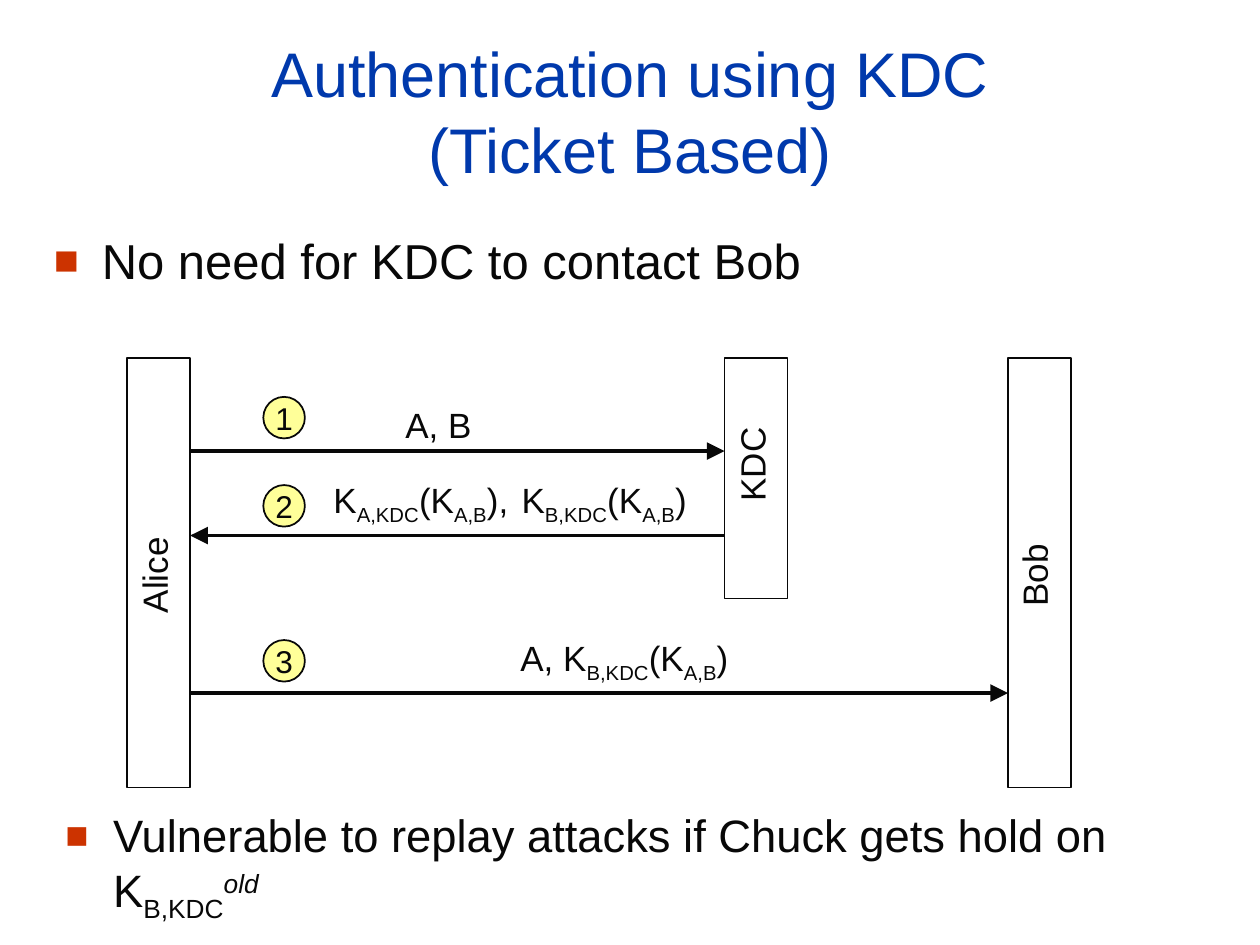
from dataclasses import dataclass

import pptx
import pptx.dml.color
import pptx.enum.shapes
import pptx.enum.text
import pptx.oxml
import pptx.oxml.ns
import pptx.util

PX = 9144  # EMU per px, 100 px to the inch
INK, BLUE, RED, YELLOW = "080808", "0039AC", "CC3300", "FFFF99"
SUB, SUPER = -25, 30
CENTER = pptx.enum.text.PP_ALIGN.CENTER
MIDDLE = pptx.enum.text.MSO_ANCHOR.MIDDLE
SHAPE = pptx.enum.shapes.MSO_SHAPE

Runs = list[tuple[str, int]]  # text and baseline shift in percent


@dataclass
class Box:
    left: int
    top: int
    width: int
    height: int

    def emu(self) -> list[int]:
        return [v * PX for v in (self.left, self.top, self.width, self.height)]


@dataclass
class Party:
    name: str
    bar: Box
    label: Box


@dataclass
class Arrow:
    start: int
    end: int
    y: int


@dataclass
class Message:
    box: Box
    runs: Runs


def color(value: str) -> pptx.dml.color.RGBColor:
    return pptx.dml.color.RGBColor.from_string(value)


def style(font, size: float, rgb: str = INK) -> None:
    font.name = "Arial"
    font.size = pptx.util.Pt(size)
    font.color.rgb = color(rgb)


def add_runs(p, runs: Runs, size: float) -> None:
    for text, shift in runs:
        r = p.add_run()
        r.text = text
        style(r.font, size)
        if shift:
            r._r.get_or_add_rPr().set("baseline", f"{shift * 1000}")
        if shift == SUPER:
            r.font.italic = True


def add_label(slide, box: Box, runs: Runs, rotation: int = 0) -> None:
    s = slide.shapes.add_textbox(*box.emu())
    s.rotation = rotation
    tf = s.text_frame
    tf.word_wrap = False
    tf.margin_left = tf.margin_right = 0
    p = tf.paragraphs[0]
    p.alignment = CENTER
    add_runs(p, runs, 20)


def add_bullet(slide, box: Box, runs: Runs, size: float) -> None:
    s = slide.shapes.add_textbox(*box.emu())
    tf = s.text_frame
    tf.word_wrap = True
    tf.margin_top = 8 * PX
    p = tf.paragraphs[0]
    pPr = p._p.get_or_add_pPr()
    pPr.set("marL", str(38 * PX))
    pPr.set("indent", str(-38 * PX))
    ns = pptx.oxml.ns.nsdecls("a")
    for xml in (
        f'<a:buClr {ns}><a:srgbClr val="{RED}"/></a:buClr>',
        f'<a:buSzPct {ns} val="85000"/>',
        f'<a:buFont {ns} typeface="Arial"/>',
        f'<a:buChar {ns} char="■"/>',
    ):
        pPr.append(pptx.oxml.parse_xml(xml))
    add_runs(p, runs, size)


def add_outlined(slide, kind, box: Box):
    s = slide.shapes.add_shape(kind, *box.emu())
    s.shadow.inherit = False
    s.fill.background()
    s.line.color.rgb = color(INK)
    s.line.width = pptx.util.Pt(1)
    return s


def add_party(slide, party: Party) -> None:
    add_outlined(slide, SHAPE.RECTANGLE, party.bar)
    add_label(slide, party.label, [(party.name, 0)], rotation=270)


def add_step(slide, number: int, top: int) -> None:
    s = add_outlined(slide, SHAPE.OVAL, Box(209, top, 33, 33))
    s.fill.solid()
    s.fill.fore_color.rgb = color(YELLOW)
    tf = s.text_frame
    tf.word_wrap = False
    tf.vertical_anchor = MIDDLE
    p = tf.paragraphs[0]
    p.alignment = CENTER
    add_runs(p, [(str(number), 0)], 18)


def add_arrow(slide, arrow: Arrow) -> None:
    s = slide.shapes.add_connector(
        pptx.enum.shapes.MSO_CONNECTOR.STRAIGHT,
        arrow.start * PX, arrow.y * PX, arrow.end * PX, arrow.y * PX)
    s.line.color.rgb = color(INK)
    s.line.width = pptx.util.Pt(2)
    ns = pptx.oxml.ns.nsdecls("a")
    s.line._get_or_add_ln().append(pptx.oxml.parse_xml(
        f'<a:tailEnd {ns} type="triangle" w="lg" len="lg"/>'))
    s._element.spPr.append(pptx.oxml.parse_xml(f"<a:effectLst {ns}/>"))


def add_title(slide, box: Box, text: str) -> None:
    s = slide.shapes.title
    s.left, s.top, s.width, s.height = box.emu()
    tf = s.text_frame
    tf.text = text
    tf.auto_size = pptx.enum.text.MSO_AUTO_SIZE.NONE
    tf.vertical_anchor = MIDDLE
    p = tf.paragraphs[0]
    p.alignment = CENTER
    for r in p.runs:
        style(r.font, 36, BLUE)


ALICE_EDGE, KDC_EDGE, BOB_EDGE = 151, 575, 800
SESSION_KEY: Runs = [("(K", 0), ("A,B", SUB)]
TICKET: Runs = [("B,KDC", SUB), *SESSION_KEY, (")", 0)]

PARTIES = [
    Party("Alice", Box(101, 284, 50, 341), Box(82, 435, 80, 43)),
    Party("KDC", Box(KDC_EDGE, 284, 50, 191), Box(557, 347, 79, 43)),
    Party("Bob", Box(BOB_EDGE, 284, 50, 341), Box(786, 435, 69, 43)),
]
ARROWS = [
    Arrow(ALICE_EDGE, KDC_EDGE, 358),
    Arrow(KDC_EDGE, ALICE_EDGE, 425),
    Arrow(ALICE_EDGE, BOB_EDGE, 550),
]
STEP_TOPS = [315, 385, 508]
MESSAGES = [
    Message(Box(312, 315, 72, 43), [("A, B", 0)]),
    Message(Box(255, 375, 158, 48),
            [("K", 0), ("A,KDC", SUB), *SESSION_KEY, ("),", 0)]),
    Message(Box(404, 375, 151, 48), [("K", 0), *TICKET]),
    Message(Box(403, 500, 185, 48), [("A, K", 0), *TICKET]),
]


def main() -> None:
    prs = pptx.Presentation()
    prs.slide_width, prs.slide_height = 1000 * PX, 750 * PX
    slide = prs.slides.add_slide(prs.slide_layouts[5])

    # Title and opening point
    add_title(slide, Box(33, 25, 934, 125),
              "Authentication using KDC\v(Ticket Based)")
    add_bullet(slide, Box(33, 175, 934, 100),
               [("No need for KDC to contact Bob", 0)], 28)

    # Protocol diagram
    for party in PARTIES:
        add_party(slide, party)
    for arrow in ARROWS:
        add_arrow(slide, arrow)
    for number, top in enumerate(STEP_TOPS, 1):
        add_step(slide, number, top)
    for message in MESSAGES:
        add_label(slide, message.box, message.runs)

    # Closing point
    add_bullet(slide, Box(42, 633, 932, 109),
               [("Vulnerable to replay attacks if Chuck gets hold on K", 0),
                ("B,KDC", SUB), ("old", SUPER)], 25.9)
    prs.save("out.pptx")


if __name__ == "__main__":
    main()
